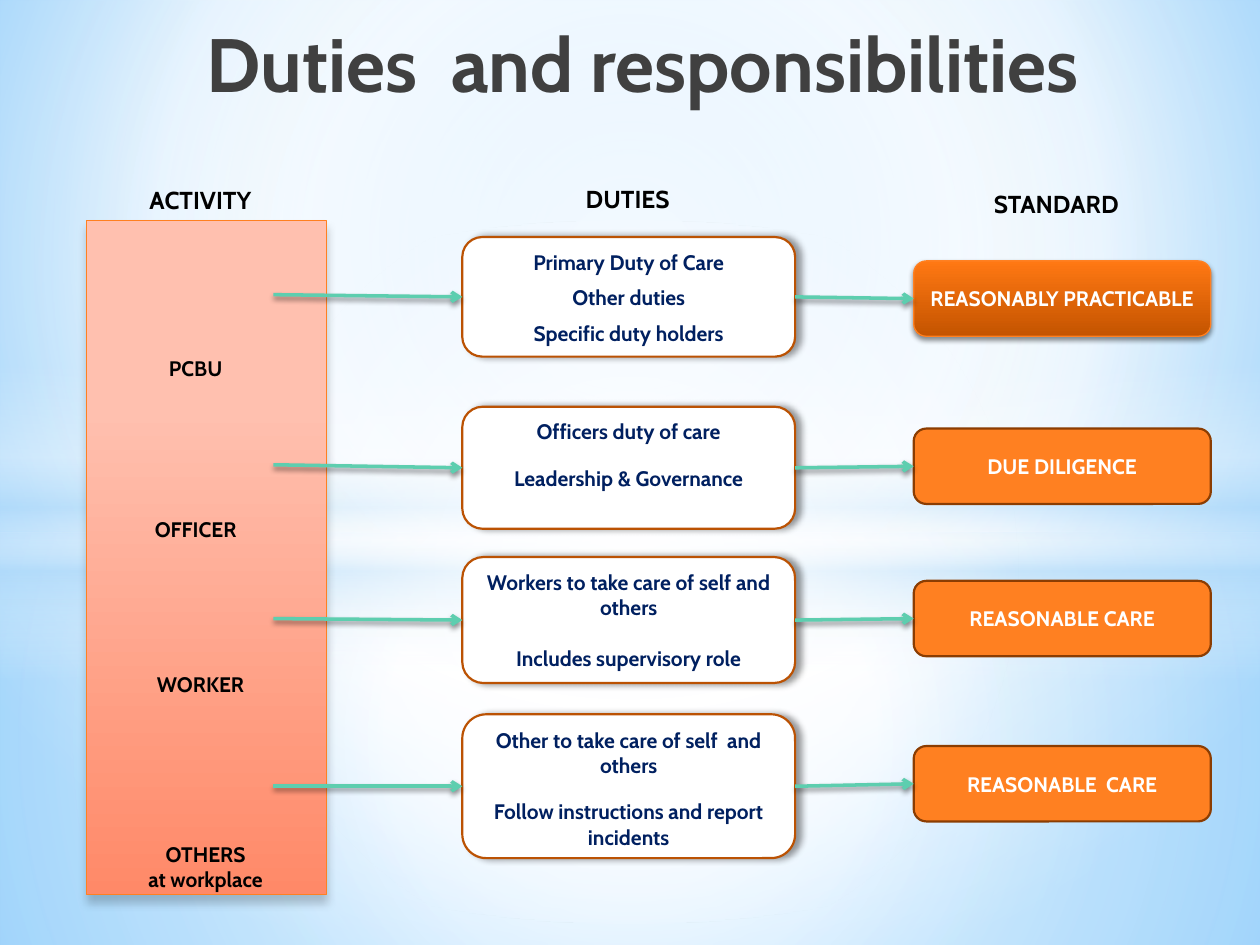
from lxml import etree
from pptx import Presentation
from pptx.dml.color import RGBColor
from pptx.enum.shapes import MSO_CONNECTOR, MSO_SHAPE
from pptx.enum.text import MSO_ANCHOR, MSO_AUTO_SIZE, PP_ALIGN
from pptx.oxml import parse_xml
from pptx.oxml.ns import qn
from pptx.util import Cm, Pt

RECT, ROUND, OVAL = MSO_SHAPE.RECTANGLE, MSO_SHAPE.ROUNDED_RECTANGLE, MSO_SHAPE.OVAL
STRAIGHT = MSO_CONNECTOR.STRAIGHT
TOP, MIDDLE = MSO_ANCHOR.TOP, MSO_ANCHOR.MIDDLE
CENTER = PP_ALIGN.CENTER
NO_FIT = MSO_AUTO_SIZE.NONE
FONT = "Cabin"
NS = "http://schemas.openxmlformats.org/drawingml/2006/main"
W, H = 25.4, 19.05
CENTRE = (50, 50, 50, 50)

# Shadows: opacity %, blur pt, distance pt, angle
PANEL_SHADOW = (20, 5, 4, 90)
CARD_SHADOW = (40, 4, 3, 0)
SOFT_SHADOW = (45, 3.1, 1.8, 90)

# Columns: left and width
CARD_X, CARD_W = 9.32, 6.71
STANDARD_X, STANDARD_W, STANDARD_H = 18.42, 5.99, 1.52
ARROW_X = 5.51

HEADINGS = [("ACTIVITY", 1.27, 3.61, 5.54), ("DUTIES", 10.46, 3.58, 4.39),
            ("STANDARD", 19.1, 3.68, 4.39)]
ROLES = [("PCBU", 1.75, 7.04, 4.39, 0.76), ("OFFICER", 1.75, 10.29, 4.39, 0.76),
         ("WORKER", 1.85, 13.41, 4.39, 0.76),
         ("OTHERS\nat workplace", 1.07, 16.84, 6.15, 1.27)]
# Arrow start, card top, card height, duties, gap pt, standard top, standard
ROWS = [
    (5.94, 4.78, 2.41, ["Primary Duty of Care", "Other duties", "Specific duty holders"],
     6, 5.26, "REASONABLY PRACTICABLE"),
    (9.37, 8.2, 2.46, ["Officers duty of care", "Leadership & Governance"],
     12, 8.64, "DUE DILIGENCE"),
    (12.47, 11.23, 2.54, ["Workers to take care of self and others",
                          "Includes supervisory role"],
     14.6, 11.71, "REASONABLE CARE"),
    (15.85, 14.4, 2.9, ["Other to take care of self  and others",
                        "Follow instructions and report incidents"],
     12, 15.04, "REASONABLE  CARE"),
]


def rgb(color):
    return RGBColor.from_string(color)


def gradient(stops, angle=90, centre=None):
    """Gradient element; stops are (position, colour[, opacity])."""
    grad = parse_xml(f'<a:gradFill xmlns:a="{NS}" rotWithShape="1"><a:gsLst/></a:gradFill>')
    for pos, color, *alpha in stops:
        gs = etree.SubElement(grad[0], qn("a:gs"), pos=str(pos * 1000))
        clr = etree.SubElement(gs, qn("a:srgbClr"), val=color)
        if alpha:
            etree.SubElement(clr, qn("a:alpha"), val=str(alpha[0] * 1000))
    if centre:
        shade = etree.SubElement(grad, qn("a:path"), path="circle")
        sides = {k: str(v * 1000) for k, v in zip("ltrb", centre)}
        etree.SubElement(shade, qn("a:fillToRect"), **sides)
    else:
        etree.SubElement(grad, qn("a:lin"), ang=str(angle * 60000), scaled="0")
    return grad


def add_shadow(effects, shadow):
    alpha, blur, dist, angle = shadow
    sh = etree.SubElement(effects, qn("a:outerShdw"), blurRad=str(int(Pt(blur))),
                          dist=str(int(Pt(dist))), dir=str(angle * 60000),
                          algn="ctr", rotWithShape="0")
    clr = etree.SubElement(sh, qn("a:srgbClr"), val="000000")
    etree.SubElement(clr, qn("a:alpha"), val=str(alpha * 1000))


def add_box(s, kind, box, fill, line=None, width=1.25, shadow=None):
    """Preset shape; fill is a hex string or a gradient element."""
    sp = s.shapes.add_shape(kind, *map(Cm, box))
    sp.fill.solid()
    if isinstance(fill, str):
        sp.fill.fore_color.rgb = rgb(fill)
    else:
        props = sp.element.spPr
        props.replace(props.find(qn("a:solidFill")), fill)
    if line:
        sp.line.color.rgb = rgb(line)
        sp.line.width = Pt(width)
    else:
        sp.line.fill.background()
    sp.shadow.inherit = False
    if shadow:
        add_shadow(sp.element.spPr.find(qn("a:effectLst")), shadow)
    return sp


def write(sp, lines, color="000000", size=12, gap=0, anchor=TOP):
    tf = sp.text_frame
    tf.word_wrap = True
    tf.vertical_anchor = anchor
    for i, line in enumerate(lines):
        p = tf.add_paragraph() if i else tf.paragraphs[0]
        p.text = line
        p.alignment = CENTER
        if i:
            p.space_before = Pt(gap)
        p.font.name, p.font.size, p.font.bold = FONT, Pt(size), True
        p.font.color.rgb = rgb(color)


def add_label(s, text, box, size=12):
    write(s.shapes.add_textbox(*map(Cm, box)), [text], size=size)


def add_arrow(s, x1, y1, x2, y2):
    c = s.shapes.add_connector(STRAIGHT, Cm(x1), Cm(y1), Cm(x2), Cm(y2))
    c.line.color.rgb = rgb("5DCEAF")
    c.line.width = Pt(2)
    props = c.element.spPr
    etree.SubElement(props.find(qn("a:ln")), qn("a:tailEnd"), type="arrow")
    add_shadow(etree.SubElement(props, qn("a:effectLst")), SOFT_SHADOW)


def add_backdrop(s):
    s.background.fill.solid()
    bg = s.element.find(".//" + qn("p:bgPr"))
    bg.replace(bg[0], gradient([(0, "9ED5FF"), (60, "FFFFFF"), (100, "5BB9FF")],
                               centre=(20, 10, 20, 60)))
    horizon = 10.74
    add_box(s, RECT, (0, horizon, W, H - horizon), gradient(
        [(0, "FFFFFF", 91), (37, "FFFFFF", 76), (100, "B4DCFA", 79)], centre=CENTRE))
    add_box(s, RECT, (0, 0, W, horizon), gradient(
        [(0, "FFFFFF", 89), (48, "FFFFFF", 62), (100, "B4DCFA", 79)], centre=CENTRE))
    add_box(s, RECT, (0, 7.37, W, 6.35), gradient(
        [(0, "FFFFFF", 0), (29, "FFFFFF", 30), (45, "B4DCFA", 40),
         (55, "FFFFFF", 26), (65, "B4DCFA", 60), (100, "FFFFFF", 0)]))
    add_box(s, OVAL, (0, 4.45, W, 14.17), gradient(
        [(0, "FFFFFF", 100), (54, "FFFFFF", 0)], centre=CENTRE))


def add_title(s, text, box):
    title = s.shapes.title
    title.left, title.top, title.width, title.height = map(Cm, box)
    write(title, [text], "404040", 43.2, anchor=MIDDLE)
    title.text_frame.auto_size = NO_FIT
    title.text_frame.margin_left = Cm(0.76)
    s.shapes.element.append(title.element)  # in front of the backdrop


def add_activity_panel(s, box):
    add_box(s, RECT, box, gradient([(28, "FFC0AF"), (100, "FF8968")]),
            "FF8021", 0.75, PANEL_SHADOW)
    for text, *place in ROLES:
        add_label(s, text, place)


def add_row(s, row, highlight):
    start_y, top, height, duties, gap, std_top, standard = row
    card = add_box(s, ROUND, (CARD_X, top, CARD_W, height), "FFFFFF", "BB5203",
                   shadow=CARD_SHADOW)
    write(card, duties, "002060", gap=gap)

    box = (STANDARD_X, std_top, STANDARD_W, STANDARD_H)
    if highlight:
        sp = add_box(s, ROUND, box, gradient([(0, "FF7813"), (100, "C45400")]),
                     "FF8021", 0.75, SOFT_SHADOW)
    else:
        sp = add_box(s, ROUND, box, "FF8021", "8B3D02")
    write(sp, [standard], "FFFFFF", anchor=MIDDLE)

    middle = top + height / 2
    add_arrow(s, ARROW_X, start_y, CARD_X, middle)
    add_arrow(s, CARD_X + CARD_W, middle, STANDARD_X, std_top + STANDARD_H / 2)


def main():
    prs = Presentation()
    prs.slide_width, prs.slide_height = Cm(W), Cm(H)
    s = prs.slides.add_slide(prs.slide_layouts[5])
    add_backdrop(s)
    add_title(s, "Duties  and responsibilities", (1.9, 0.2, 21.6, 2.1))
    add_activity_panel(s, (1.75, 4.45, 4.83, 13.59))
    for text, x, y, w in HEADINGS:
        add_label(s, text, (x, y, w, 0.86), 14)
    for i, row in enumerate(ROWS):
        add_row(s, row, highlight=i == 0)
    prs.save("out.pptx")


if __name__ == "__main__":
    main()
